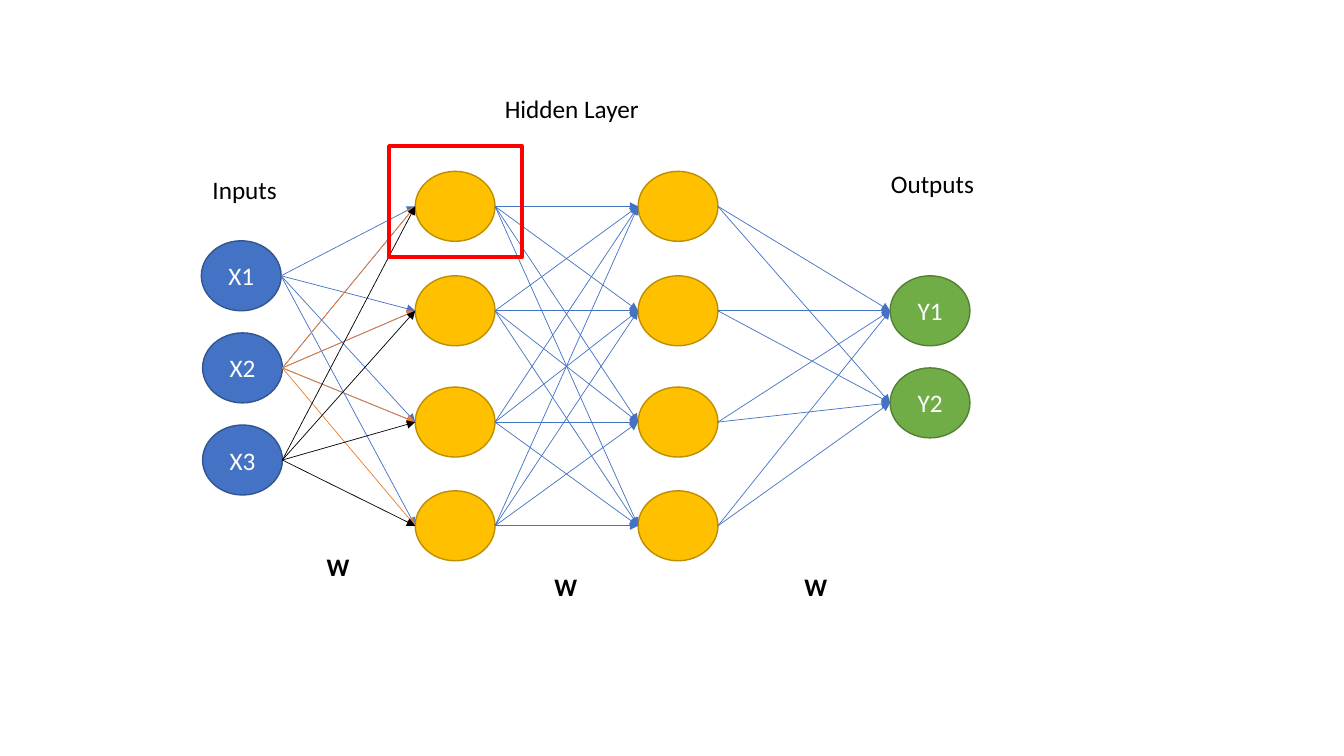
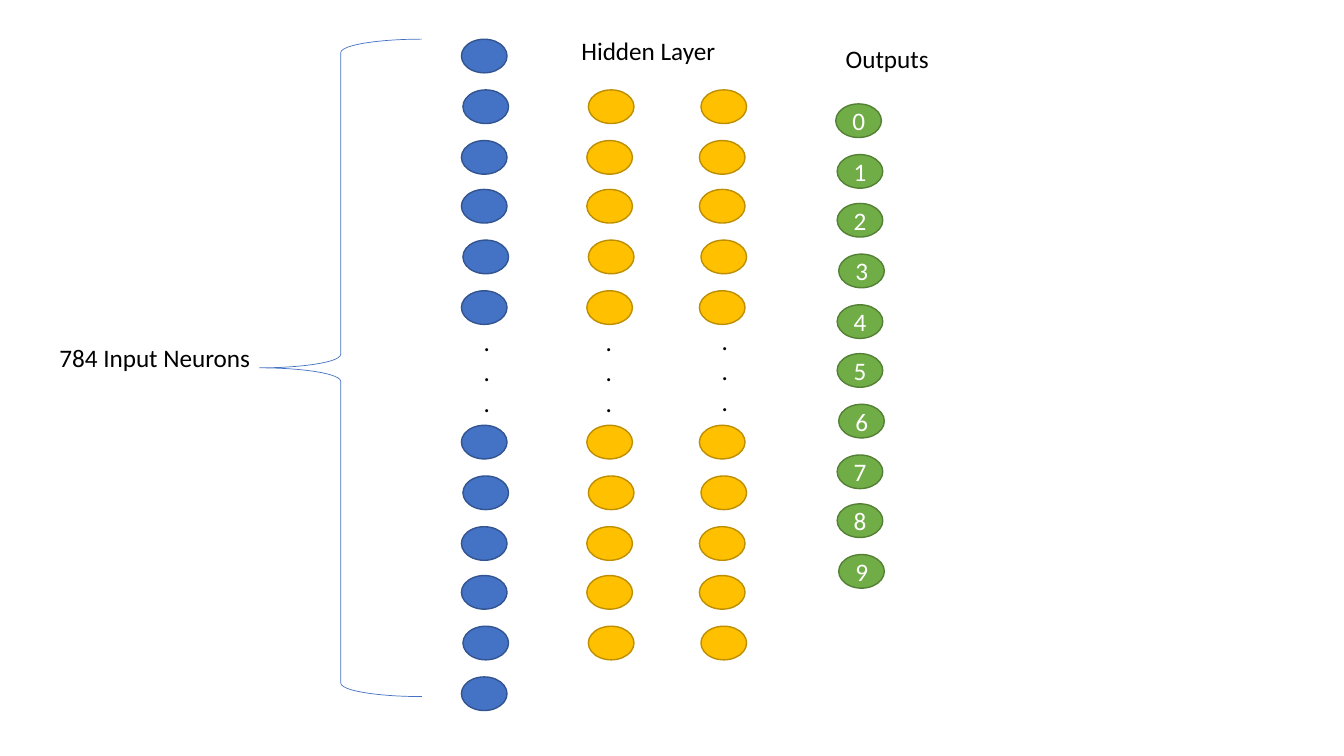
from lxml import etree
from pptx import Presentation
from pptx.dml.color import RGBColor
from pptx.enum import shapes, text
from pptx.oxml.ns import qn
from pptx.util import Pt


class Theme:
    font = "Calibri"
    size = Pt(18)
    blue = RGBColor.from_string("4472C4")
    orange = RGBColor.from_string("ED7D31")
    red = RGBColor.from_string("FF0000")
    black = RGBColor.from_string("000000")
    white = RGBColor.from_string("FFFFFF")
    input = (blue, RGBColor.from_string("325491"))
    hidden = (RGBColor.from_string("FFC000"), RGBColor.from_string("BD8E00"))
    output = (RGBColor.from_string("70AD47"), RGBColor.from_string("538035"))
    thin, outline, thick = Pt(0.5), Pt(1), Pt(3)


def add_neuron(slide, x, y, size, style, caption=""):
    sp = slide.shapes.add_shape(shapes.MSO_SHAPE.OVAL, Pt(x), Pt(y), Pt(size[0]), Pt(size[1]))
    sp.shadow.inherit = False
    sp.fill.solid()
    sp.fill.fore_color.rgb = style[0]
    sp.line.color.rgb = style[1]
    sp.line.width = Theme.outline
    if caption:
        tf = sp.text_frame
        tf.vertical_anchor = text.MSO_ANCHOR.MIDDLE
        p = tf.paragraphs[0]
        p.text = caption
        p.alignment = text.PP_ALIGN.CENTER
        p.font.name, p.font.size = Theme.font, Theme.size
        p.font.color.rgb = Theme.white


def add_label(slide, x, y, w, caption, h=29, bold=False):
    tf = slide.shapes.add_textbox(Pt(x), Pt(y), Pt(w), Pt(h)).text_frame
    tf.word_wrap = True
    tf.auto_size = text.MSO_AUTO_SIZE.SHAPE_TO_FIT_TEXT
    tf.text = caption
    for p in tf.paragraphs:
        p.font.name, p.font.size = Theme.font, Theme.size
        p.font.color.rgb = Theme.black
        if bold:
            p.font.bold = True


prs = Presentation()
prs.slide_width, prs.slide_height = Pt(960), Pt(540)
blank = prs.slide_layouts[6]

s = prs.slides.add_slide(blank)
large = (57, 50)
hidden_y = [122.4, 197, 276.5, 350.6]
inputs = [(143.8, 172), (144.7, 237.8), (144.7, 303.6)]
first = [(296.6, y) for y in hidden_y]
second = [(455.8, y) for y in hidden_y]
outputs = [(635.8, 197), (635.8, 262.8)]

for nodes, style, letter in [(inputs, Theme.input, "X"), (outputs, Theme.output, "Y"),
                             (first, Theme.hidden, ""), (second, Theme.hidden, "")]:
    for i, (x, y) in enumerate(nodes, 1):
        add_neuron(s, x, y, large, style, f"{letter}{i}" if letter else "")

links = [
    (inputs[:1], first, Theme.blue),
    (inputs[1:2], first[:3], Theme.blue),
    (inputs[1:2], first, Theme.orange),
    (inputs[2:], first, Theme.black),
    (first, second, Theme.blue),
    (second, outputs, Theme.blue),
]
for sources, targets, color in links:
    for x1, y1 in sources:
        for x2, y2 in targets:
            link = s.shapes.add_connector(
                shapes.MSO_CONNECTOR.STRAIGHT,
                Pt(x1 + large[0]), Pt(y1 + large[1] / 2), Pt(x2), Pt(y2 + large[1] / 2))
            link.line.color.rgb = color
            link.line.width = Theme.thin
            etree.SubElement(link.line._get_or_add_ln(), qn("a:tailEnd"), type="triangle")
            etree.SubElement(link._element.spPr, qn("a:effectLst"))

add_label(s, 144.7, 121, 105, "Inputs")
add_label(s, 629.3, 116.6, 105, "Outputs")
add_label(s, 353.5, 63.4, 155, "Hidden Layer")
for x, y in [(233.3, 390.2), (396, 404.6), (574.6, 404.6)]:
    add_label(s, x, y, 3.6, "W", bold=True)

focus = s.shapes.add_shape(shapes.MSO_SHAPE.RECTANGLE, Pt(278), Pt(104.4), Pt(95), Pt(79))
focus.shadow.inherit = False
focus.fill.background()
focus.line.color.rgb = Theme.red
focus.line.width = Theme.thick

s = prs.slides.add_slide(blank)
small = (32.6, 24)
row_step, group_step, nudge = 36.2, 107.3, 1.1
top, bottom = 28, 303.8

columns = [
    (329.6, Theme.input, range(6), range(6)),
    (419.2, Theme.hidden, range(1, 6), range(5)),
    (499.6, Theme.hidden, range(1, 6), range(5)),
]
for left, style, upper, lower in columns:
    for start, rows in [(top, upper), (bottom, lower)]:
        for row in rows:
            group, place = divmod(row, 3)
            add_neuron(s, left + nudge * (place == 1),
                       start + group * group_step + place * row_step, small, style)

for digit in range(10):
    group, place = divmod(digit + 1, 3)
    x = 598 + nudge * (place == 1) if digit else 597
    add_neuron(s, x, 38 + group * group_step + place * row_step, small, Theme.output, str(digit))

for x, y in [(338.4, 229.7), (425.5, 229.7), (508.3, 229)]:
    add_label(s, x, y, 70, ".\n.\n.", h=94.5)

brace = s.shapes.add_shape(shapes.MSO_SHAPE.LEFT_BRACE, Pt(185.4), Pt(28), Pt(116), Pt(469.6))
brace.shadow.inherit = False
brace.fill.background()
brace.line.color.rgb = Theme.blue
brace.line.width = Theme.thin

add_label(s, 35.3, 241.2, 157, "784 Input Neurons")
add_label(s, 597, 27.4, 105, "Outputs")
add_label(s, 408.2, 21.6, 155, "Hidden Layer")

prs.save("out.pptx")
